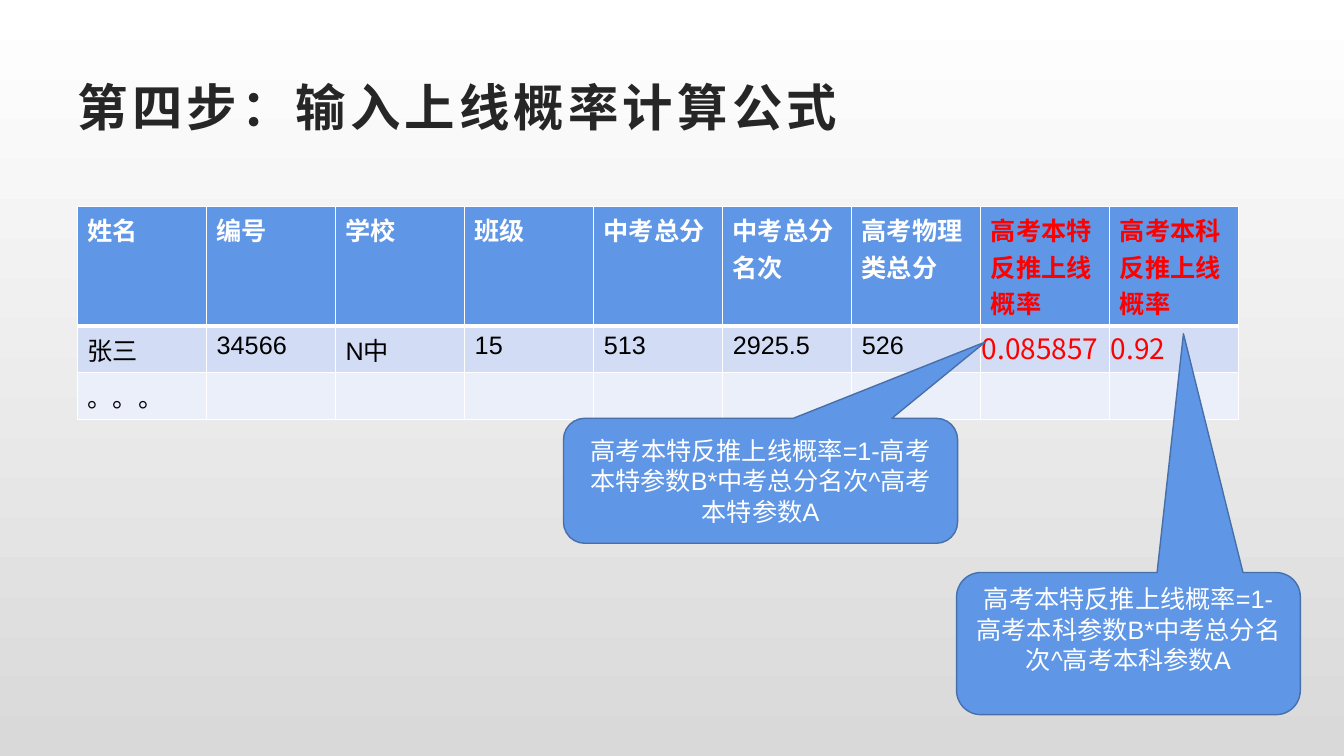
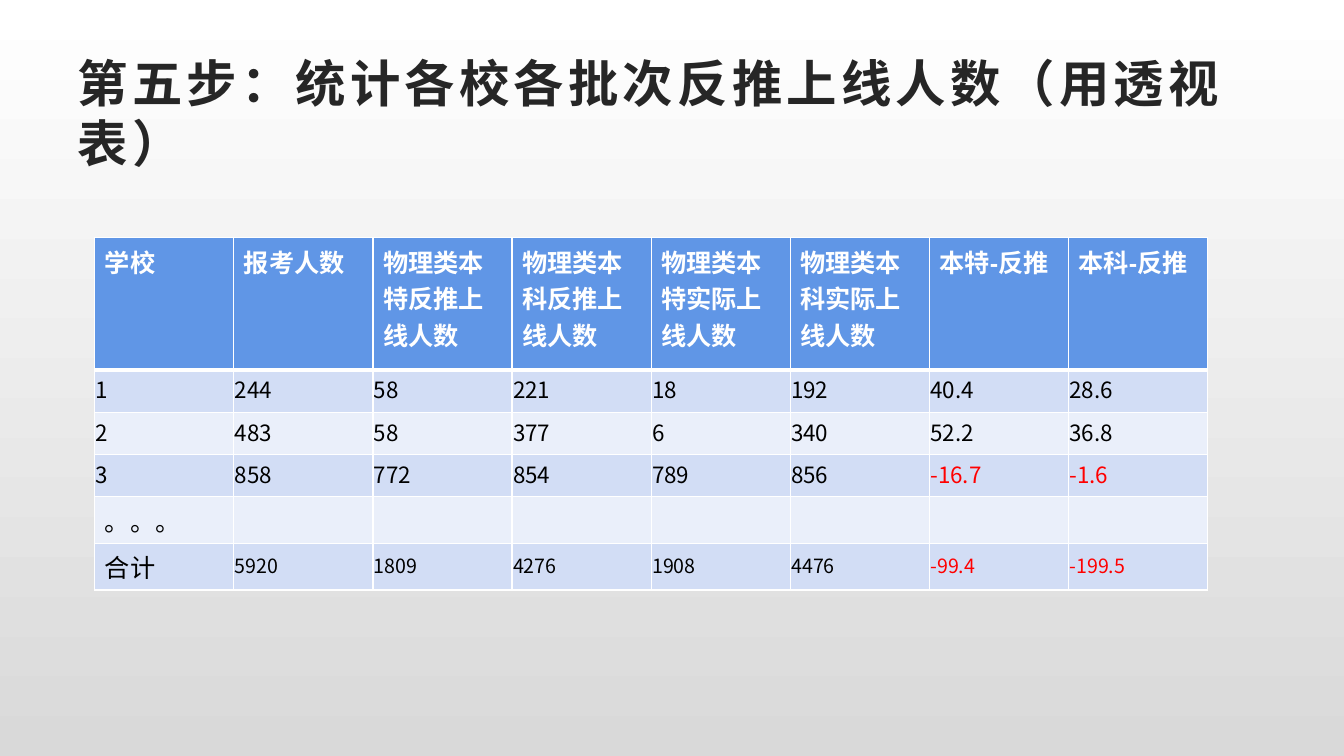
from lxml.etree import SubElement
from pptx import Presentation
from pptx.dml.color import RGBColor
from pptx.enum.shapes import MSO_SHAPE
from pptx.enum.text import MSO_ANCHOR, MSO_AUTO_SIZE, PP_ALIGN
from pptx.oxml import parse_xml
from pptx.oxml.ns import nsdecls, qn
from pptx.util import Emu, Pt

PX = 9144  # one hundred px to the inch
WHITE = RGBColor(0xFF, 0xFF, 0xFF)
BLACK = RGBColor(0x00, 0x00, 0x00)
GRAY = RGBColor(0xD9, 0xD9, 0xD9)
DARK = RGBColor(0x26, 0x26, 0x26)
RED = RGBColor(0xFF, 0x00, 0x00)
BLUE = RGBColor(0x60, 0x96, 0xE6)
EDGE = RGBColor(0x47, 0x6F, 0xAA)
BANDS = (RGBColor(0xD2, 0xDD, 0xF5), RGBColor(0xEA, 0xEF, 0xFA))
LATIN, CHINESE = "Arial", "Noto Sans CJK SC"

TITLE = {"name": LATIN, "size": Pt(36), "bold": True, "color": DARK}
HEAD = {"name": LATIN, "size": Pt(18), "bold": True, "color": WHITE}
HEAD_RED = {**HEAD, "color": RED}
BODY = {"name": LATIN, "size": Pt(18), "bold": False, "color": BLACK}
CALLOUT = {**BODY, "color": WHITE}
FIGURE = {"name": CHINESE, "size": Pt(16), "bold": False, "color": BLACK}
FIGURE_RED = {**FIGURE, "size": Pt(20), "color": RED}


def px(*lengths):
    return [Emu(length * PX) for length in lengths]


def set_format(font, values):
    for name, value in values.items():
        if name == "color":
            font.color.rgb = value
        else:
            setattr(font, name, value)


def figures(texts, size):
    """Pair each number with its format; negative numbers are red."""
    return [(text, {**FIGURE, "size": Pt(size), "color": RED if text.startswith("-") else BLACK})
            for text in texts]


def set_borders(cell, top, bottom):
    """Draw white borders, with the top and bottom widths in points."""
    widths = {"lnL": 1, "lnR": 1, "lnT": top, "lnB": bottom}
    properties = cell._tc.get_or_add_tcPr()
    for index, (tag, width) in enumerate(widths.items()):
        properties.insert(index, parse_xml(
            f'<a:{tag} {nsdecls("a")} w="{Pt(width)}"><a:solidFill>'
            f'<a:srgbClr val="{WHITE}"/></a:solidFill></a:{tag}>'))


class Slides:
    def __init__(self):
        self.deck = Presentation()
        self.deck.slide_width, self.deck.slide_height = Emu(12192000), Emu(6858000)
        fill = self.deck.slide_master.background.fill
        fill.gradient()
        fill.gradient_angle = 270
        for stop, position, color in zip(fill.gradient_stops, (0, 1), (WHITE, GRAY)):
            stop.position = position
            stop.color.rgb = color
        self.page = None

    def add_span(self, para, text, values, east_asian=None):
        span = para.add_run()
        span.text = text
        set_format(span.font, values)
        if east_asian:
            SubElement(span.font._element, qn("a:ea"), typeface=east_asian)
        return span

    def add_page(self, text, width, height):
        self.page = self.deck.slides.add_slide(self.deck.slide_layouts[5])
        title = self.page.shapes.title
        title.left, title.top, title.width, title.height = px(67, 67, width, height)
        frame = title.text_frame
        frame.auto_size = MSO_AUTO_SIZE.NONE
        frame.vertical_anchor = MSO_ANCHOR.MIDDLE
        para = frame.paragraphs[0]
        para.alignment = PP_ALIGN.LEFT
        span = self.add_span(para, text, TITLE)
        span.font._element.set("spc", "300")

    def add_table(self, left, top, column_width, row_heights, rows):
        """Fill a table with cells that are each a text and its format."""
        count = len(rows[0])
        table = self.page.shapes.add_table(
            len(rows), count,
            *px(left, top, column_width * count, sum(row_heights))).table
        table.first_row = table.horz_banding = False
        for column in table.columns:
            column.width = Emu(column_width * PX)
        for index, (height, row) in enumerate(zip(row_heights, rows)):
            table.rows[index].height = Emu(height * PX)
            for cell, (text, values) in zip(table.rows[index].cells, row):
                cell.fill.solid()
                cell.fill.fore_color.rgb = BANDS[(index - 1) % 2] if index else BLUE
                set_borders(cell, 3 if index == 1 else 1, 1 if index else 3)
                para = cell.text_frame.paragraphs[0]
                if not text:
                    set_format(para.font, values)
                    continue
                self.add_span(para, text, values, CHINESE)
                if values["name"] == CHINESE:
                    cell.vertical_anchor = MSO_ANCHOR.MIDDLE
                    (cell.margin_left, cell.margin_top,
                     cell.margin_right, cell.margin_bottom) = px(1, 1, 1, 5)

    def add_callout(self, left, top, width, height, tip, text, bottom=5):
        box = self.page.shapes.add_shape(
            MSO_SHAPE.ROUNDED_RECTANGULAR_CALLOUT, *px(left, top, width, height))
        box.shadow.inherit = False
        for index, value in enumerate((*tip, 0.17)):
            box.adjustments[index] = value
        box.fill.solid()
        box.fill.fore_color.rgb = BLUE
        box.line.color.rgb = EDGE
        box.line.width = Pt(1)
        frame = box.text_frame
        frame.word_wrap = True
        frame.vertical_anchor = MSO_ANCHOR.MIDDLE
        frame.margin_bottom = Emu(bottom * PX)
        para = frame.paragraphs[0]
        para.alignment = PP_ALIGN.CENTER
        self.add_span(para, text, CALLOUT)


def add_formula_page(slides):
    slides.add_page("第四步：输入上线概率计算公式", 1200, 77)
    heads = ["姓名", "编号", "学校", "班级", "中考总分", "中考总分名次", "高考物理类总分"]
    results = ["高考本特反推上线概率", "高考本科反推上线概率"]
    student = ["张三", "34566", "N中", "15", "513", "2925.5", "526"]
    slides.add_table(77, 205, 128, (100, 42, 41), [
        [(text, HEAD) for text in heads] + [(text, HEAD_RED) for text in results],
        [(text, BODY) for text in student] + [(text, FIGURE_RED) for text in ("0.085857", "0.92")],
        [("。。。", BODY)] + [("", BODY)] * 8,
    ])
    slides.add_callout(559, 415, 391, 124, (0.57, -1.11),
                       "高考本特反推上线概率=1-高考本特参数B*中考总分名次^高考本特参数A")
    slides.add_callout(949, 568, 341, 141, (0.16, -2.18),
                       "高考本特反推上线概率=1-高考本科参数B*中考总分名次^高考本科参数A", bottom=34)


def add_school_page(slides):
    slides.add_page("第五步：统计各校各批次反推上线人数（用透视表）", 1233, 89)
    heads = ["学校", "报考人数", "物理类本特反推上线人数", "物理类本科反推上线人数",
             "物理类本特实际上线人数", "物理类本科实际上线人数", "本特-反推", "本科-反推"]
    schools = [
        ["1", "244", "58", "221", "18", "192", "40.4", "28.6"],
        ["2", "483", "58", "377", "6", "340", "52.2", "36.8"],
        ["3", "858", "772", "854", "789", "856", "-16.7", "-1.6"],
    ]
    totals = ["5920", "1809", "4276", "1908", "4476", "-99.4", "-199.5"]
    slides.add_table(94, 236, 138, (131, 42, 42, 42, 42, 42), [
        [(text, HEAD) for text in heads],
        *[figures(school, 16) for school in schools],
        [("。。。", BODY)] + [("", BODY)] * 7,
        [("合计", BODY)] + figures(totals, 14),
    ])


def main():
    slides = Slides()
    add_formula_page(slides)
    add_school_page(slides)
    slides.deck.save("out.pptx")


if __name__ == "__main__":
    main()
